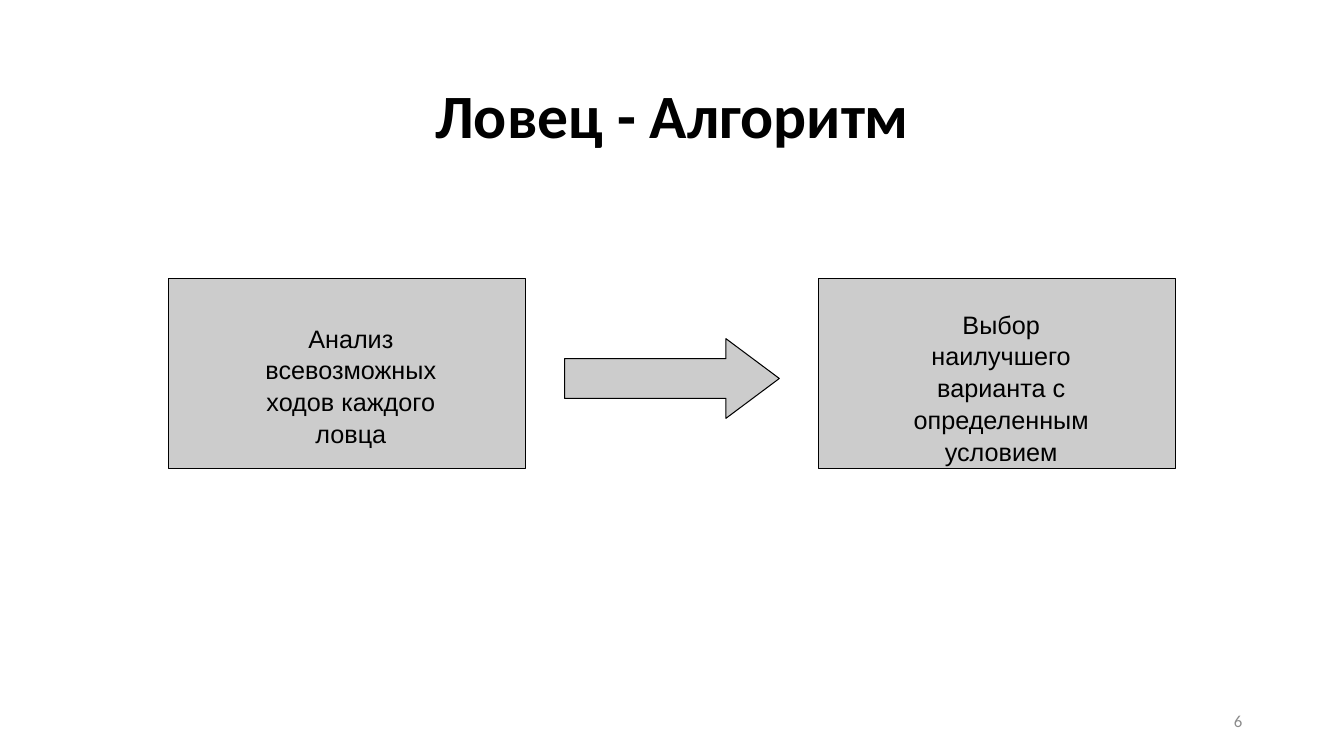
from pptx import Presentation
from pptx.dml.color import RGBColor
from pptx.enum.shapes import MSO_SHAPE
from pptx.enum.text import MSO_ANCHOR, PP_ALIGN
from pptx.util import Inches, Pt

THEME = {
    "text": RGBColor(0x00, 0x00, 0x00),
    "muted": RGBColor(0x8B, 0x8B, 0x8B),
    "fill": RGBColor(0xCC, 0xCC, 0xCC),
    "line": RGBColor(0x00, 0x00, 0x00),
    "heading_font": "Calibri",
    "body_font": "Arial",
    "title_size": 44,
    "body_size": 18,
    "number_size": 12,
    "line_width": 0.75,
}


def add_text(text, x, y, w, h, font=THEME["body_font"], size=THEME["body_size"],
             color=THEME["text"], bold=False, align=PP_ALIGN.CENTER,
             anchor=MSO_ANCHOR.TOP, spacing=1.0):
    """Add a wrapping text box with one formatted paragraph."""
    tf = s.shapes.add_textbox(Inches(x), Inches(y), Inches(w), Inches(h)).text_frame
    tf.word_wrap = True
    tf.vertical_anchor = anchor
    p = tf.paragraphs[0]
    p.alignment = align
    p.line_spacing = spacing
    r = p.add_run()
    r.text = text
    r.font.name, r.font.size, r.font.bold = font, Pt(size), bold
    r.font.color.rgb = color


def add_block(kind, x, y, w, h):
    """Add a grey outlined preset shape and return it."""
    sp = s.shapes.add_shape(kind, Inches(x), Inches(y), Inches(w), Inches(h))
    sp.shadow.inherit = False
    sp.fill.solid()
    sp.fill.fore_color.rgb = THEME["fill"]
    sp.line.color.rgb = THEME["line"]
    sp.line.width = Pt(THEME["line_width"])
    return sp


prs = Presentation()
prs.slide_width, prs.slide_height = Inches(13.33), Inches(7.5)
s = prs.slides.add_slide(prs.slide_layouts[6])

add_text("Ловец - Алгоритм", 0.92, 0.4, 11.5, 1.45, font=THEME["heading_font"],
         size=THEME["title_size"], bold=True, anchor=MSO_ANCHOR.MIDDLE)
add_text("6", 9.42, 6.95, 3, 0.4, font=THEME["heading_font"],
         size=THEME["number_size"], color=THEME["muted"],
         align=PP_ALIGN.RIGHT, anchor=MSO_ANCHOR.MIDDLE)

# Steps: box left, label top, label height, label
steps = [
    (1.67, 3.14, 1.22, "Анализ всевозможных ходов каждого ловца"),
    (8.12, 3.0, 1.5, "Выбор наилучшего варианта с определенным условием"),
]
for x, label_y, label_h, label in steps:
    add_block(MSO_SHAPE.RECTANGLE, x, 2.76, 3.54, 1.89)
    add_text(label, x + 0.63, label_y, 2.36, label_h, spacing=1.05)

arrow = add_block(MSO_SHAPE.RIGHT_ARROW, 5.6, 3.36, 2.13, 0.79)
arrow.adjustments[0] = 0.5
arrow.adjustments[1] = 0.67

prs.save("out.pptx")
